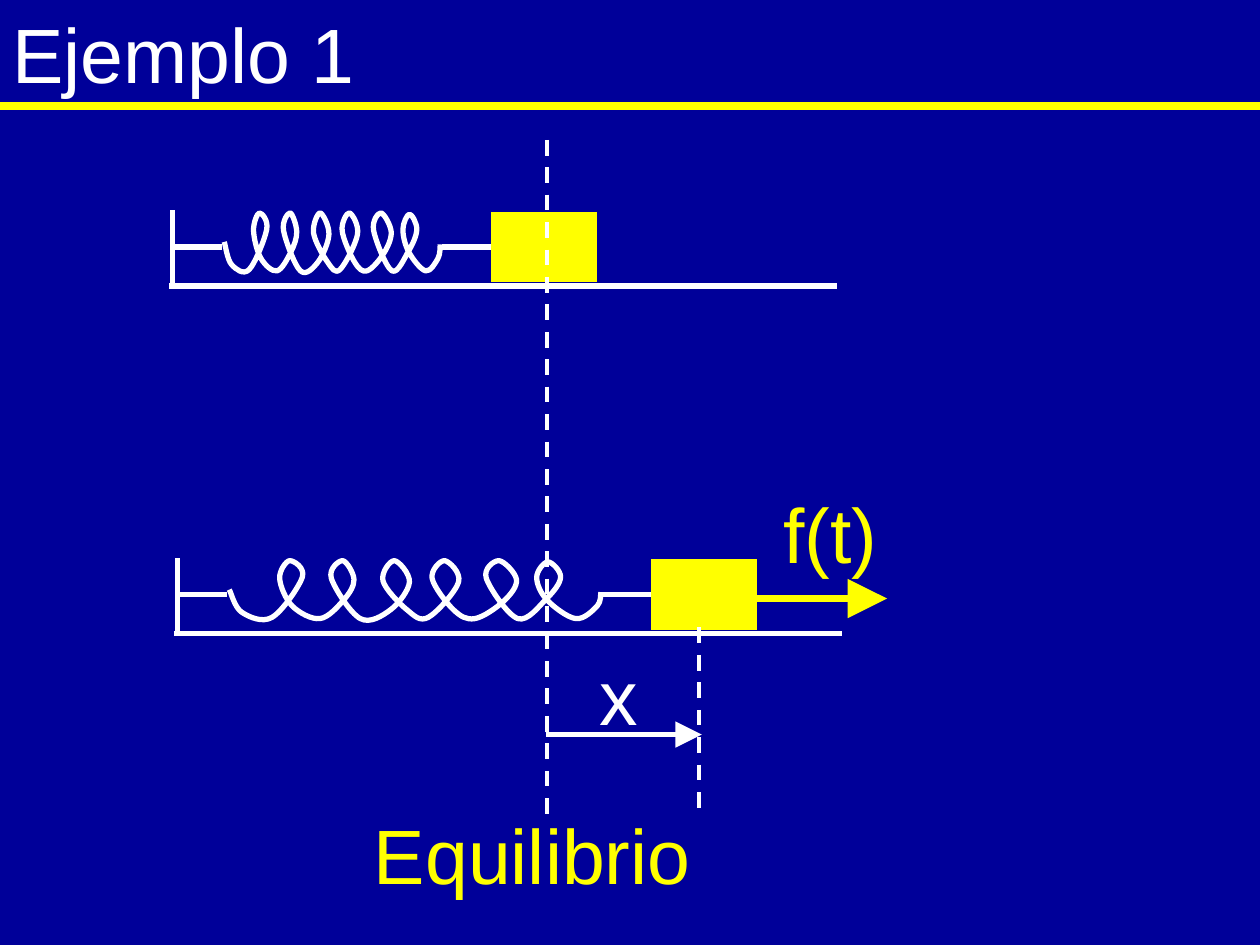
from lxml.etree import SubElement
from pptx import Presentation
from pptx.dml.color import RGBColor
from pptx.enum.dml import MSO_LINE
from pptx.enum.shapes import MSO_CONNECTOR, MSO_SHAPE
from pptx.enum.text import MSO_ANCHOR, MSO_AUTO_SIZE, PP_ALIGN
from pptx.oxml.ns import qn
from pptx.util import Inches, Pt

NAVY = RGBColor(0x00, 0x00, 0x99)
YELLOW = RGBColor(0xFF, 0xFF, 0x00)
WHITE = RGBColor(0xFF, 0xFF, 0xFF)
FONT, SIZE = "Arial", Pt(44)

# Points the coil passes through, in inches, at its stretched width
COIL_WIDTH, COIL_HEIGHT = 2.96, 0.5
COIL = [
    (0, .23), (.10, .41), (.34, .45), (.58, .13), (.48, 0), (.40, .14),
    (.50, .36), (.72, .46), (.91, .31), (.99, .15), (.90, 0), (.81, .14),
    (1.04, .46), (1.28, .39), (1.43, .17), (1.31, 0), (1.22, .16),
    (1.41, .39), (1.58, .45), (1.82, .17), (1.71, 0), (1.61, .14),
    (1.78, .39), (1.95, .46), (2.18, .32), (2.28, .15), (2.14, 0),
    (2.04, .14), (2.29, .46), (2.52, .30), (2.63, .13), (2.53, .01),
    (2.44, .13), (2.52, .31), (2.75, .46), (2.92, .36), (2.95, .25),
]


def style_text(p, color):
    p.font.name, p.font.size, p.font.color.rgb = FONT, SIZE, color


def add_line(shapes, x1, y1, x2, y2, color=WHITE, width=3, dash=False, arrow=None):
    """Straight line; arrow is the size of its head, med or lg."""
    line = shapes.add_connector(MSO_CONNECTOR.STRAIGHT, Inches(x1), Inches(y1),
                                Inches(x2), Inches(y2))
    line.line.color.rgb = color
    line.line.width = Pt(width)
    if dash:
        line.line.dash_style = MSO_LINE.DASH
    if arrow:
        SubElement(line.line._get_or_add_ln(), qn("a:tailEnd"),
                   type="triangle", w=arrow, len=arrow)
    SubElement(line._element.spPr, qn("a:effectLst"))
    return line


def add_label(shapes, text, left, top, width, color):
    sp = shapes.add_textbox(Inches(left), Inches(top), Inches(width), Inches(0.83))
    tf = sp.text_frame
    tf.word_wrap = True
    tf.auto_size = MSO_AUTO_SIZE.SHAPE_TO_FIT_TEXT
    p = tf.paragraphs[0]
    p.text = text
    style_text(p, color)
    # Space before as a share of the line height
    before = SubElement(p._p.get_or_add_pPr(), qn("a:spcBef"))
    p._p.pPr.insert(0, before)
    SubElement(before, qn("a:spcPct"), val="50000")


def round_segments(path_xml, points):
    """Turn the straight segments into cubic curves with smooth joints."""
    padded = [points[0], *points, points[-1]]
    segments = path_xml.findall(qn("a:lnTo"))
    for seg, o, q, r, u in zip(segments, padded, padded[1:], padded[2:], padded[3:]):
        seg.tag = qn("a:cubicBezTo")
        first = [b + (c - a) / 6 for a, b, c in zip(o, q, r)]
        second = [b - (c - a) / 6 for a, b, c in zip(q, r, u)]
        for i, (x, y) in enumerate((first, second)):
            pt = SubElement(seg, qn("a:pt"), x=str(round(x)), y=str(round(y)))
            seg.insert(i, pt)


def add_coil(shapes, left, top, width):
    scale = width / COIL_WIDTH
    points = [(Inches(x * scale), Inches(y)) for x, y in COIL]
    builder = shapes.build_freeform(*points[0])
    builder.add_line_segments(points[1:], close=False)
    sp = builder.convert_to_shape(Inches(left), Inches(top))
    path_xml = sp._element.find(".//" + qn("a:path"))
    round_segments(path_xml, points)
    # Leave room for the curves below the lowest points
    sp.width, sp.height = Inches(width), Inches(COIL_HEIGHT)
    path_xml.set("w", str(sp.width))
    path_xml.set("h", str(sp.height))
    sp.fill.background()
    sp.line.color.rgb = WHITE
    sp.line.width = Pt(3)
    sp.shadow.inherit = False


def add_title(s, left, top, width, height):
    title = s.shapes.title
    title.left, title.top = Inches(left), Inches(top)
    title.width, title.height = Inches(width), Inches(height)
    tf = title.text_frame
    tf.vertical_anchor = MSO_ANCHOR.MIDDLE
    p = tf.paragraphs[0]
    p.text = "Ejemplo 1"
    p.alignment = PP_ALIGN.LEFT
    style_text(p, WHITE)
    # Rule under the title
    add_line(s.shapes, 0, top + height, 10, top + height, YELLOW, 4.5)


def add_spring_system(shapes, left, top, coil_width, block_left):
    """Wall, floor, spring and block; left and top are the wall's upper end."""
    middle = top + 0.29
    # Wall and floor
    add_line(shapes, left, top, left, top + 0.59)
    add_line(shapes, left - 0.03, top + 0.6, left + 5.27, top + 0.6)
    # Spring with a rod at each end
    add_coil(shapes, left + 0.41, top + 0.02, coil_width)
    rod = add_line(shapes, block_left - 0.41, middle, block_left, middle)
    add_line(shapes, left, middle, left + 0.39, middle)
    # Block
    block = shapes.add_shape(MSO_SHAPE.RECTANGLE, Inches(block_left),
                             Inches(top + 0.03), Inches(0.8), Inches(0.52))
    block.fill.solid()
    block.fill.fore_color.rgb = YELLOW
    block.line.color.rgb = YELLOW
    block.line.width = Pt(3)
    SubElement(block.line._get_or_add_ln(), qn("a:miter"), lim="800000")
    block.shadow.inherit = False
    rod.end_connect(block, 1)


def add_equilibrium(shapes, x, top, bottom):
    add_line(shapes, x, top, x, bottom, width=2.25, dash=True)
    add_label(shapes, "Equilibrio", x - 1.47, bottom - 0.12, 2.94, YELLOW)


def add_displacement(shapes, start, end, top, bottom):
    add_line(shapes, end, top, end, bottom, width=2.25, dash=True)
    add_line(shapes, start, top + 0.85, end + 0.02, top + 0.85, arrow="lg")
    add_label(shapes, "x", start + 0.33, top + 0.12, 0.74, WHITE)


def add_force(shapes, left, y, length):
    add_line(shapes, left, y, left + length, y, YELLOW, 4.5, arrow="lg")
    add_label(shapes, "f(t)", left + 0.32, y - 0.94, 1.04, YELLOW)


def main():
    prs = Presentation()
    prs.slide_width, prs.slide_height = Inches(10), Inches(7.5)
    s = prs.slides.add_slide(prs.slide_layouts[5])
    s.background.fill.solid()
    s.background.fill.fore_color.rgb = NAVY

    add_title(s, 0, 0, 8.5, 0.84)
    # Spring at rest
    rest = s.shapes.add_group_shape().shapes
    add_spring_system(rest, 1.37, 1.67, 1.72, 3.92)
    add_equilibrium(rest, 4.34, 1.11, 6.48)
    # Spring stretched by the force
    stretched = s.shapes.add_group_shape().shapes
    add_spring_system(stretched, 1.41, 4.43, 2.96, 5.19)
    add_displacement(stretched, 4.33, 5.55, 4.98, 6.5)
    add_force(stretched, 5.8, 4.75, 1.24)

    prs.save("out.pptx")


if __name__ == "__main__":
    main()
